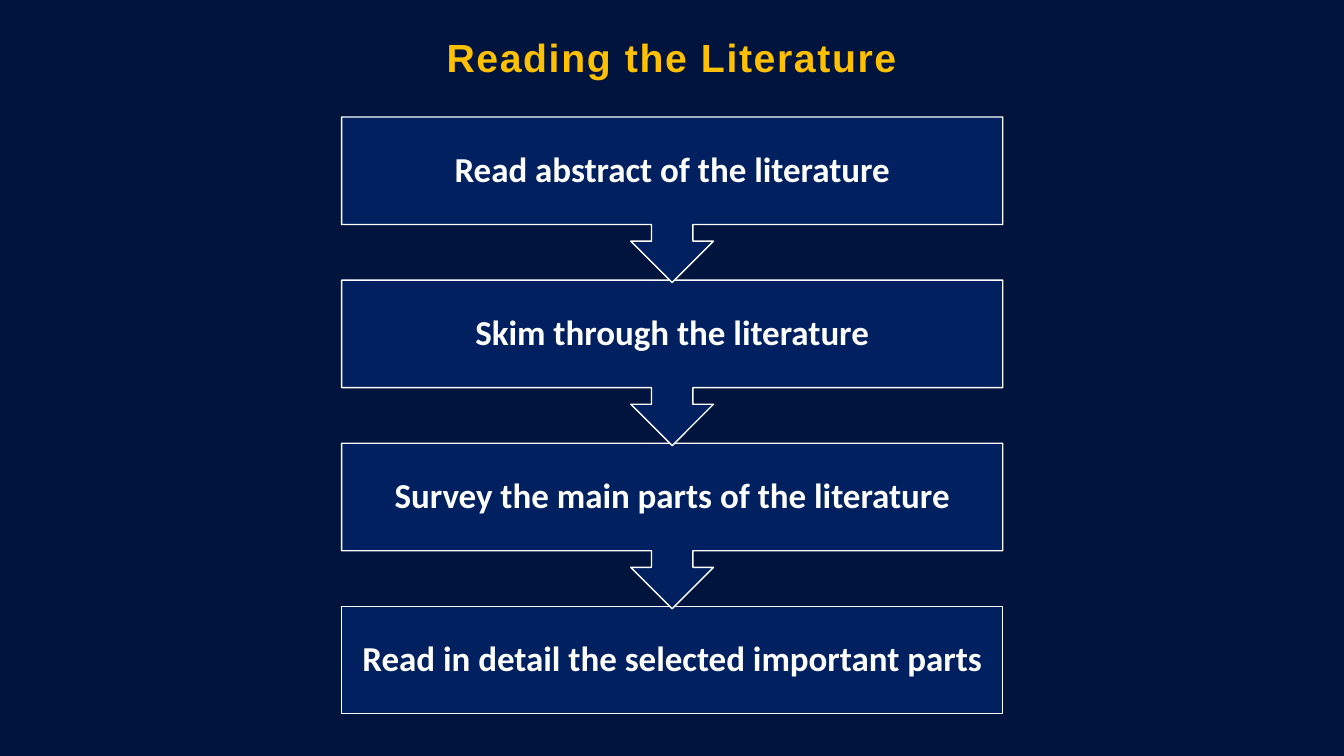
from pptx import Presentation
from pptx.dml.color import RGBColor
from pptx.enum.shapes import MSO_SHAPE
from pptx.enum.text import MSO_ANCHOR, PP_ALIGN
from pptx.util import Cm, Pt

COLORS = {
    "background": "00143D",
    "step": "002060",
    "title": "FFC000",
    "white": "FFFFFF",
}
STEPS = [
    "Read abstract of the literature",
    "Skim through the literature",
    "Survey the main parts of the literature",
    "Read in detail the selected important parts",
]


def color(name):
    return RGBColor.from_string(COLORS[name])


def write(box, text, font_name, size, color_name, margin):
    """Put one bold, centred line in a box and return its paragraph."""
    frame = box.text_frame
    frame.word_wrap = True
    frame.vertical_anchor = MSO_ANCHOR.MIDDLE
    frame.margin_left = frame.margin_right = margin
    frame.margin_top = frame.margin_bottom = margin
    para = frame.paragraphs[0]
    para.text = text
    para.alignment = PP_ALIGN.CENTER
    para.font.name = font_name
    para.font.size = Pt(size)
    para.font.bold = True
    para.font.color.rgb = color(color_name)
    return para


# Deck and page
deck = Presentation()
deck.slide_width, deck.slide_height = Cm(33.87), Cm(19.05)
page = deck.slides.add_slide(deck.slide_layouts[6])
page.background.fill.solid()
page.background.fill.fore_color.rgb = color("background")

# Title with widened letter spacing
title = page.shapes.add_textbox(Cm(9.5), Cm(0.81), Cm(14.86), Cm(1.24))
title_para = write(title, "Reading the Literature", "Arial", 28, "title", Cm(0))
title_para.space_before = Pt(1.3)
title_para.runs[0]._r.get_or_add_rPr().set("spc", "120")

# Steps from the bottom up, so each arrow tip lies over the next box
last = len(STEPS) - 1
for index in range(last, -1, -1):
    if index == last:
        kind, height = MSO_SHAPE.RECTANGLE, Cm(2.7)
    else:
        kind, height = MSO_SHAPE.DOWN_ARROW_CALLOUT, Cm(4.17)
    top = Cm(2.95 + 4.11 * index)
    step = page.shapes.add_shape(kind, Cm(8.61), top, Cm(16.66), height)
    step.shadow.inherit = False
    step.fill.solid()
    step.fill.fore_color.rgb = color("step")
    step.line.color.rgb = color("white")
    step.line.width = Pt(1)
    step_para = write(step, STEPS[index], "Calibri", 25, "white", Cm(0.45))
    step_para.line_spacing = 0.9
deck.save("out.pptx")
